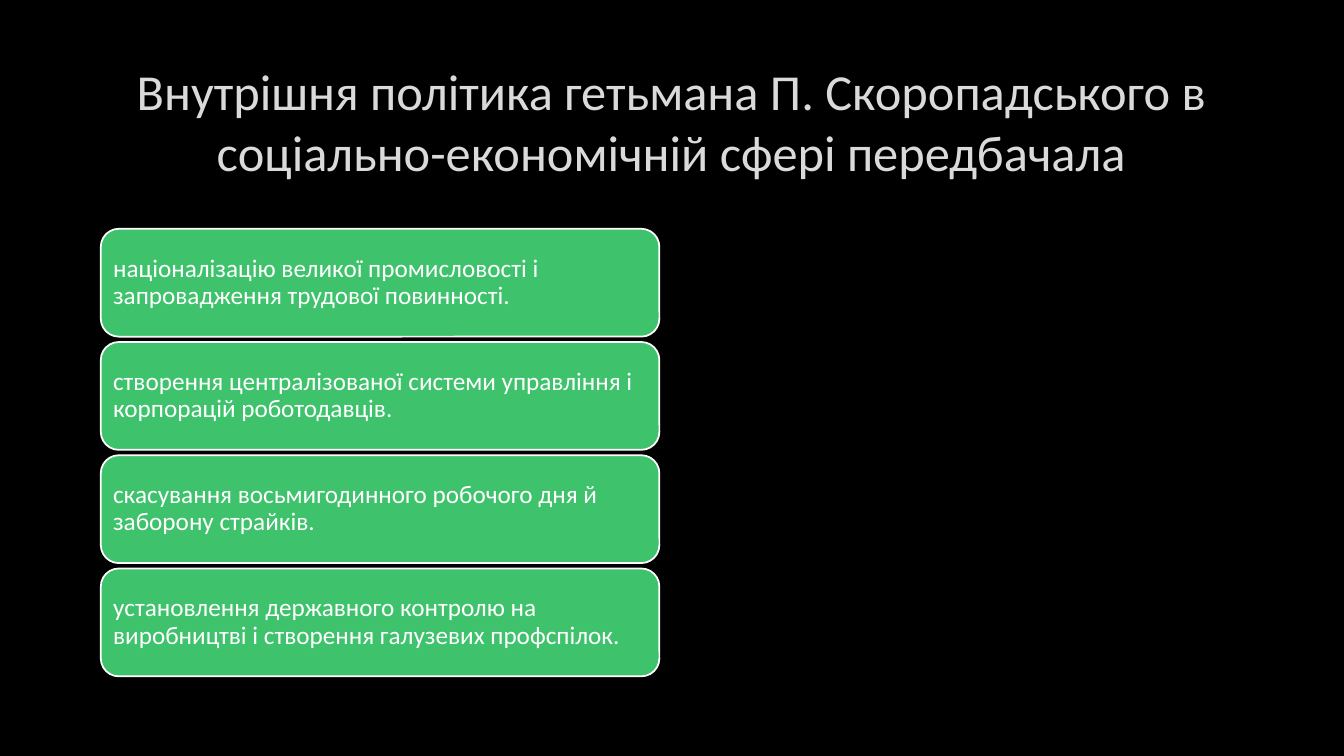
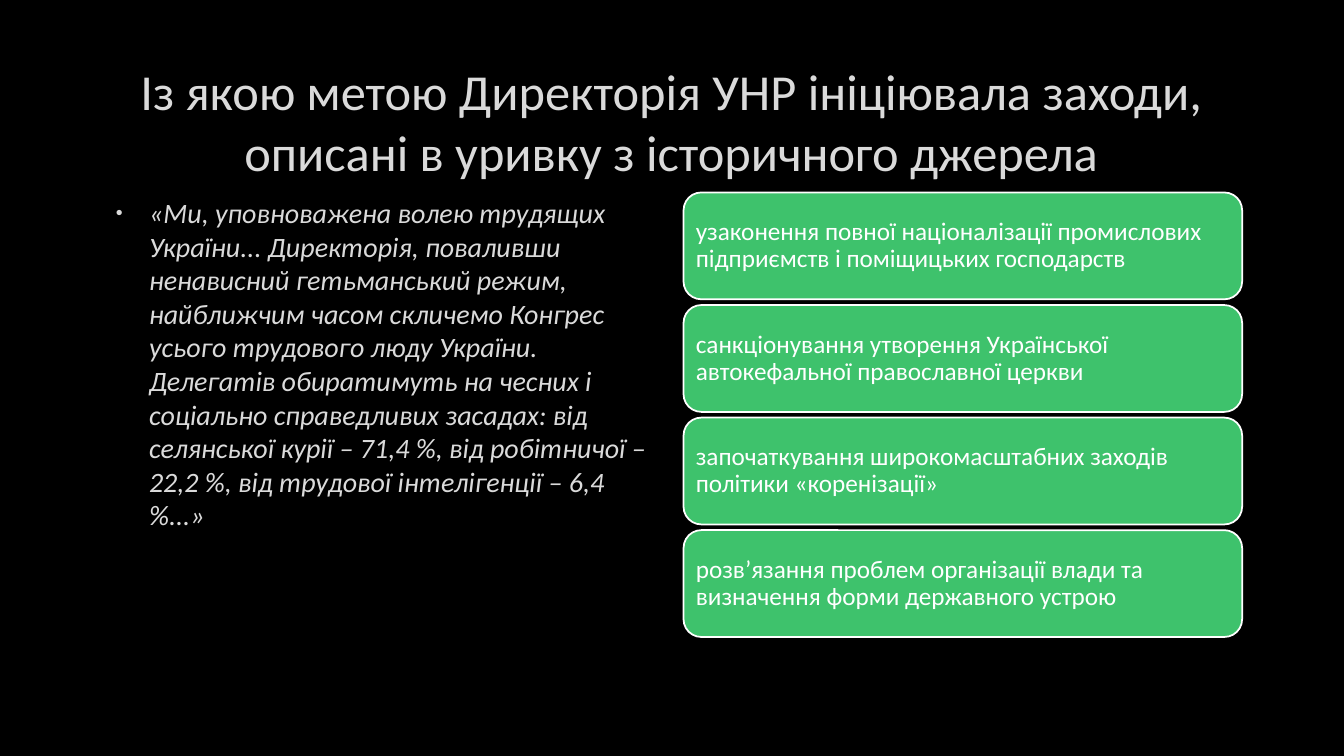
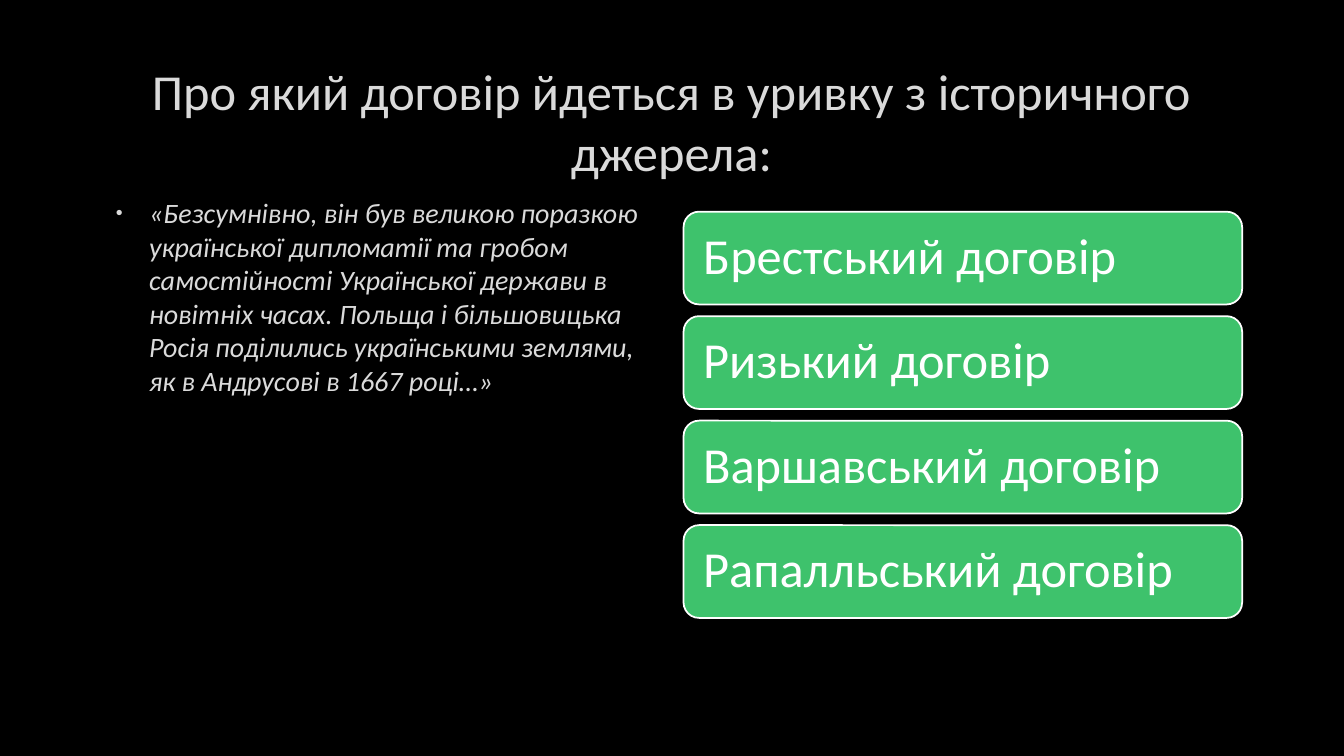
"""Build three history quiz slides with answer cards and source quotes."""
from lxml import etree
from pptx import Presentation
from pptx.dml.color import RGBColor
from pptx.enum.shapes import MSO_SHAPE as Shape
from pptx.enum.text import MSO_ANCHOR as Anchor, MSO_AUTO_SIZE as AutoSize, PP_ALIGN as Align
from pptx.oxml.ns import qn
from pptx.util import Inches, Pt

BLACK = RGBColor(0x00, 0x00, 0x00)
WHITE = RGBColor(0xFF, 0xFF, 0xFF)
SILVER = RGBColor(0xDA, 0xDA, 0xDA)
GREEN = RGBColor(0x3E, 0xC2, 0x6C)
FONT = "Calibri"

QUESTIONS = [
    {
        "title": "Внутрішня політика гетьмана П. Скоропадського в соціально-економічній сфері передбачала",
        "quote": None,
        "answers": [
            "націоналізацію великої промисловості і запровадження трудової повинності.",
            "створення централізованої системи управління і корпорацій роботодавців.",
            "скасування восьмигодинного робочого дня й заборону страйків.",
            "установлення державного контролю на виробництві і створення галузевих профспілок.",
        ],
        "left": 1, "first_top": 2.27, "last_top": 5.64, "height": 1.07, "size": 18, "inset": 0.07,
    },
    {
        "title": "Із якою метою Директорія УНР ініціювала заходи, описані в уривку з історичного джерела",
        "quote": "«Ми, уповноважена волею трудящих України... Директорія, поваливши ненависний "
                 "гетьманський режим, найближчим часом скличемо Конгрес усього трудового люду України. "
                 "Делегатів обиратимуть на чесних і соціально справедливих засадах: від селянської "
                 "курії – 71,4 %, від робітничої – 22,2 %, від трудової інтелігенції – 6,4 %...»",
        "answers": [
            "узаконення повної націоналізації промислових підприємств і поміщицьких господарств",
            "санкціонування утворення Української автокефальної православної церкви",
            "започаткування широкомасштабних заходів політики «коренізації»",
            "розв’язання проблем організації влади та визначення форми державного устрою",
        ],
        "left": 6.78, "first_top": 1.91, "last_top": 5.26, "height": 1.06, "size": 18, "inset": 0.07,
    },
    {
        "title": "Про який договір йдеться в уривку з історичного джерела:",
        "quote": "«Безсумнівно, він був великою поразкою української дипломатії та гробом "
                 "самостійності Української держави в новітніх часах. Польща і більшовицька Росія "
                 "поділились українськими землями, як в Андрусові в 1667 році…»",
        "answers": ["Брестський договір", "Ризький договір", "Варшавський договір", "Рапалльський договір"],
        "left": 6.78, "first_top": 2.1, "last_top": 5.21, "height": 0.92, "size": 36, "inset": 0.15,
    },
]


def style(para, size, color, italic=False):
    para.font.name = FONT
    para.font.size = Pt(size)
    para.font.color.rgb = color
    para.font.italic = italic


def add_bullet(para):
    props = para._p.get_or_add_pPr()
    props.set("marL", str(Inches(0.38)))
    props.set("indent", str(Inches(-0.33)))
    color = etree.SubElement(props, qn("a:buClr"))
    etree.SubElement(color, qn("a:srgbClr"), val=str(SILVER))
    etree.SubElement(props, qn("a:buSzPct"), val="70000")
    etree.SubElement(props, qn("a:buFont"), typeface="Arial")
    etree.SubElement(props, qn("a:buChar"), char="•")


deck = Presentation()
deck.slide_width = Inches(13.33)
deck.slide_height = Inches(7.5)
background = deck.slide_master.background.fill
background.solid()
background.fore_color.rgb = BLACK
title_only = deck.slide_layouts[5]

for question in QUESTIONS:
    page = deck.slides.add_slide(title_only)
    title = page.shapes.title
    title.left, title.top = Inches(1), Inches(0.67)
    title.width, title.height = Inches(11.32), Inches(1.06)
    title.text_frame.text = question["title"]
    title.text_frame.auto_size = AutoSize.NONE
    title.text_frame.vertical_anchor = Anchor.MIDDLE
    title_para = title.text_frame.paragraphs[0]
    title_para.alignment = Align.CENTER
    style(title_para, 36, SILVER)

    if question["quote"]:
        quote = page.shapes.add_textbox(Inches(1), Inches(1.89), Inches(5.53), Inches(4.44))
        quote.text_frame.word_wrap = True
        quote_para = quote.text_frame.paragraphs[0]
        quote_para.text = question["quote"]
        add_bullet(quote_para)
        style(quote_para, 20, SILVER, italic=True)

    answers = question["answers"]
    pitch = (question["last_top"] - question["first_top"]) / (len(answers) - 1)
    for index, answer in enumerate(answers):
        card = page.shapes.add_shape(
            Shape.ROUNDED_RECTANGLE, Inches(question["left"]),
            Inches(question["first_top"] + index * pitch), Inches(5.54), Inches(question["height"]))
        card.shadow.inherit = False
        card.fill.solid()
        card.fill.fore_color.rgb = GREEN
        card.line.color.rgb = WHITE
        card.line.width = Pt(1.25)
        frame = card.text_frame
        frame.word_wrap = True
        frame.vertical_anchor = Anchor.MIDDLE
        frame.margin_left = frame.margin_right = Inches(question["inset"])
        frame.margin_top = frame.margin_bottom = Inches(0.05)
        card_para = frame.paragraphs[0]
        card_para.text = answer
        card_para.alignment = Align.LEFT
        card_para.line_spacing = 0.9
        style(card_para, question["size"], WHITE)

deck.save("out.pptx")
